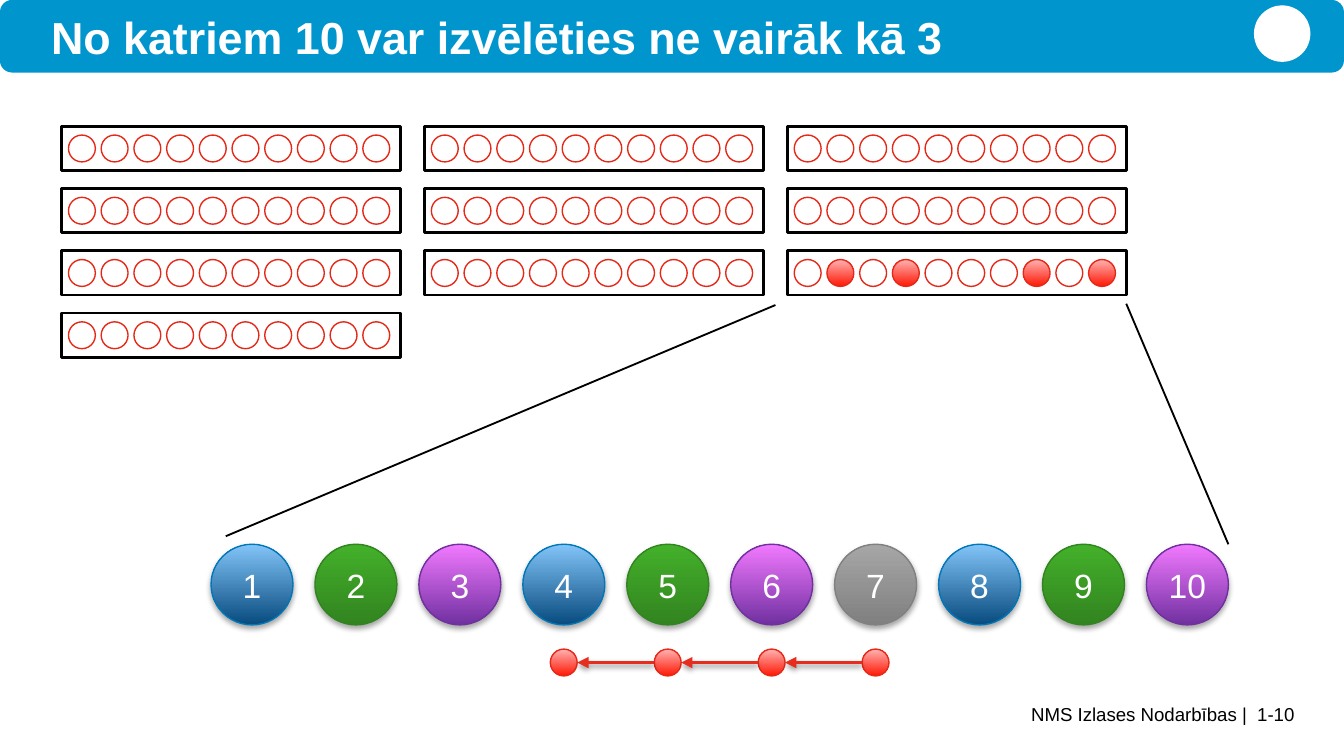
from lxml import etree
from pptx import Presentation
from pptx.dml.color import RGBColor
from pptx.enum.shapes import MSO_CONNECTOR, MSO_SHAPE
from pptx.enum.text import MSO_ANCHOR, PP_ALIGN
from pptx.oxml.ns import qn
from pptx.util import Inches, Pt

OVAL, RECTANGLE = MSO_SHAPE.OVAL, MSO_SHAPE.RECTANGLE
ROUNDED = MSO_SHAPE.ROUNDED_RECTANGLE
STRAIGHT = MSO_CONNECTOR.STRAIGHT
TOP, MIDDLE = MSO_ANCHOR.TOP, MSO_ANCHOR.MIDDLE
LEFT, CENTER, RIGHT = PP_ALIGN.LEFT, PP_ALIGN.CENTER, PP_ALIGN.RIGHT

WHITE = RGBColor(0xFF, 0xFF, 0xFF)
BLACK = RGBColor(0x00, 0x00, 0x00)
HEADER_BLUE = RGBColor(0x00, 0x95, 0xCD)
RED_LINE = RGBColor(0xE6, 0x28, 0x18)
ARROW_RED = RGBColor(0xE6, 0x2D, 0x1E)
PURPLE = RGBColor(0x70, 0x30, 0xA0)
GREEN = RGBColor(0x32, 0x84, 0x20)
GREY = RGBColor(0x80, 0x80, 0x80)

# Gradients run from the bottom colour to the top colour.
RED_FILL = (RGBColor(0xFF, 0x18, 0x05), RGBColor(0xFF, 0xB2, 0xB1))
BLUE_BALL = ((RGBColor(0x08, 0x4B, 0x7F), RGBColor(0x82, 0xC4, 0xF8)),
             RGBColor(0x00, 0x77, 0xB9))
GREEN_BALL = ((GREEN, RGBColor(0x43, 0xB0, 0x2A)), GREEN)
PURPLE_BALL = ((PURPLE, RGBColor(0xF2, 0x79, 0xFF)), PURPLE)
GREY_BALL = ((GREY, RGBColor(0xA6, 0xA6, 0xA6)), GREY)
BALLS = [BLUE_BALL, GREEN_BALL, PURPLE_BALL] * 2 + [
    GREY_BALL, BLUE_BALL, GREEN_BALL, PURPLE_BALL]

PAGE_WIDTH = 10
PAGE_HEIGHT = PAGE_WIDTH * 9 / 16
PER_GROUP = 10
GROUP_LEFT, GROUP_TOP = 0.46, 0.94
GROUP_WIDTH, GROUP_HEIGHT = 2.52, 0.33
COLUMN_STEP, ROW_STEP = 2.7, 1.39 / 3
GROUP_ROWS = (4, 3, 3)
DOT = 0.2
DOT_STEP = 2.19 / (PER_GROUP - 1)
CHOSEN_GROUP = (2, 2)
CHOSEN_DOTS = (2, 4, 8, 10)
BALL_LEFT, BALL_TOP = 1.57, 4.05
BALL_WIDTH, BALL_HEIGHT = 0.61, 0.6
BALL_STEP = 6.96 / (PER_GROUP - 1)
CHAIN = (7, 6, 5, 4)
CHAIN_Y = 4.93


def set_values(target, values):
    for name, value in values.items():
        setattr(target, name, value)


def add_effects(element, shadow=None):
    """Give a shape or connector a (blur, distance, opacity) shadow, or none."""
    properties = element.spPr
    for old in properties.findall(qn("a:effectLst")):
        properties.remove(old)
    effects = etree.SubElement(properties, qn("a:effectLst"))
    if shadow:
        blur, distance, opacity = shadow
        outer = etree.SubElement(
            effects, qn("a:outerShdw"), blurRad=str(Pt(blur)),
            dist=str(Pt(distance)), dir="5400000", rotWithShape="0")
        color = etree.SubElement(outer, qn("a:srgbClr"), val=str(BLACK))
        etree.SubElement(color, qn("a:alpha"), val=str(opacity * 1000))


def add_shape(page, kind, box, fill=None, line=None, weight=0.75, shadow=None):
    """Fill is None, one colour, or a (bottom, top) pair of colours."""
    shape = page.shapes.add_shape(kind, *map(Inches, box))
    if fill is None:
        shape.fill.background()
    elif isinstance(fill, RGBColor):
        shape.fill.solid()
        shape.fill.fore_color.rgb = fill
    else:
        shape.fill.gradient()
        shape.fill.gradient_angle = 90
        for stop, color in zip(shape.fill.gradient_stops, fill):
            stop.color.rgb = color
    if line is None:
        shape.line.fill.background()
    else:
        shape.line.color.rgb = line
        shape.line.width = Pt(weight)
    add_effects(shape.element, shadow)
    return shape


def add_line(page, start, end, color, weight, arrow=False, shadow=None):
    ends = map(Inches, (*start, *end))
    connector = page.shapes.add_connector(STRAIGHT, *ends)
    connector.line.color.rgb = color
    connector.line.width = Pt(weight)
    if arrow:
        outline = connector.element.spPr.find(qn("a:ln"))
        etree.SubElement(outline, qn("a:tailEnd"), type="triangle")
    add_effects(connector.element, shadow)


def write(shape, text, size, color, align, anchor, bold=False, inset=0.0):
    frame = shape.text_frame
    margins = dict.fromkeys(("margin_left", "margin_right", "margin_top",
                             "margin_bottom"), Inches(inset))
    set_values(frame, {"word_wrap": True, "vertical_anchor": anchor, **margins})
    para = frame.paragraphs[0]
    para.alignment = align
    span = para.add_run()
    span.text = text
    set_values(span.font, {"name": "Arial", "size": Pt(size), "bold": bold})
    span.font.color.rgb = color


def add_text(page, box, *args, **formats):
    write(page.shapes.add_textbox(*map(Inches, box)), *args, **formats)


def add_dot(page, left, top, filled):
    add_shape(page, OVAL, (left, top, DOT, DOT),
              RED_FILL if filled else None, RED_LINE)


def add_group(page, column, row):
    left = GROUP_LEFT + column * COLUMN_STEP
    top = GROUP_TOP + row * ROW_STEP
    add_shape(page, RECTANGLE, (left, top, GROUP_WIDTH, GROUP_HEIGHT),
              line=BLACK, weight=1.5)
    chosen = CHOSEN_DOTS if (column, row) == CHOSEN_GROUP else ()
    for number in range(1, PER_GROUP + 1):
        add_dot(page, left + 0.05 + (number - 1) * DOT_STEP,
                top + (GROUP_HEIGHT - DOT) / 2, number in chosen)


def add_ball(page, number, fill, line):
    left = BALL_LEFT + (number - 1) * BALL_STEP
    ball = add_shape(page, OVAL, (left, BALL_TOP, BALL_WIDTH, BALL_HEIGHT),
                     fill, line, shadow=(3.1, 1.8, 35))
    write(ball, str(number), 18, WHITE, CENTER, MIDDLE, inset=0.04)


def add_chain(page):
    """Red dots under the balls, each with an arrow to the next one."""
    centers = [BALL_LEFT + BALL_WIDTH / 2 + (number - 1) * BALL_STEP
               for number in CHAIN]
    for center in centers:
        add_dot(page, center - DOT / 2, CHAIN_Y - DOT / 2, True)
    for start, end in zip(centers, centers[1:]):
        add_line(page, (start - DOT / 2, CHAIN_Y), (end + DOT / 2, CHAIN_Y),
                 ARROW_RED, 2, arrow=True, shadow=(3.1, 1.6, 38))


def main():
    deck = Presentation()
    deck.slide_width, deck.slide_height = Inches(PAGE_WIDTH), Inches(PAGE_HEIGHT)
    page = deck.slides.add_slide(deck.slide_layouts[6])

    add_text(page, (2.41, 5.23, 7.22, 0.33), "NMS Izlases Nodarbības |  1-10",
             10, BLACK, RIGHT, TOP)
    add_shape(page, ROUNDED, (0, 0, PAGE_WIDTH, 0.54), HEADER_BLUE)
    add_shape(page, OVAL, (9.33, 0.04, 0.42, 0.42), WHITE)
    add_text(page, (0.38, 0.07, 8.27, 0.42),
             "No katriem 10 var izvēlēties ne vairāk kā 3",
             24, WHITE, LEFT, TOP, bold=True)

    for column, rows in enumerate(GROUP_ROWS):
        for row in range(rows):
            add_group(page, column, row)
    for number, (fill, line) in enumerate(BALLS, 1):
        add_ball(page, number, fill, line)
    add_line(page, (5.77, 2.27), (1.68, 3.99), BLACK, 1)
    add_line(page, (8.38, 2.26), (9.14, 4.05), BLACK, 1)
    add_chain(page)
    deck.save("out.pptx")


if __name__ == "__main__":
    main()
